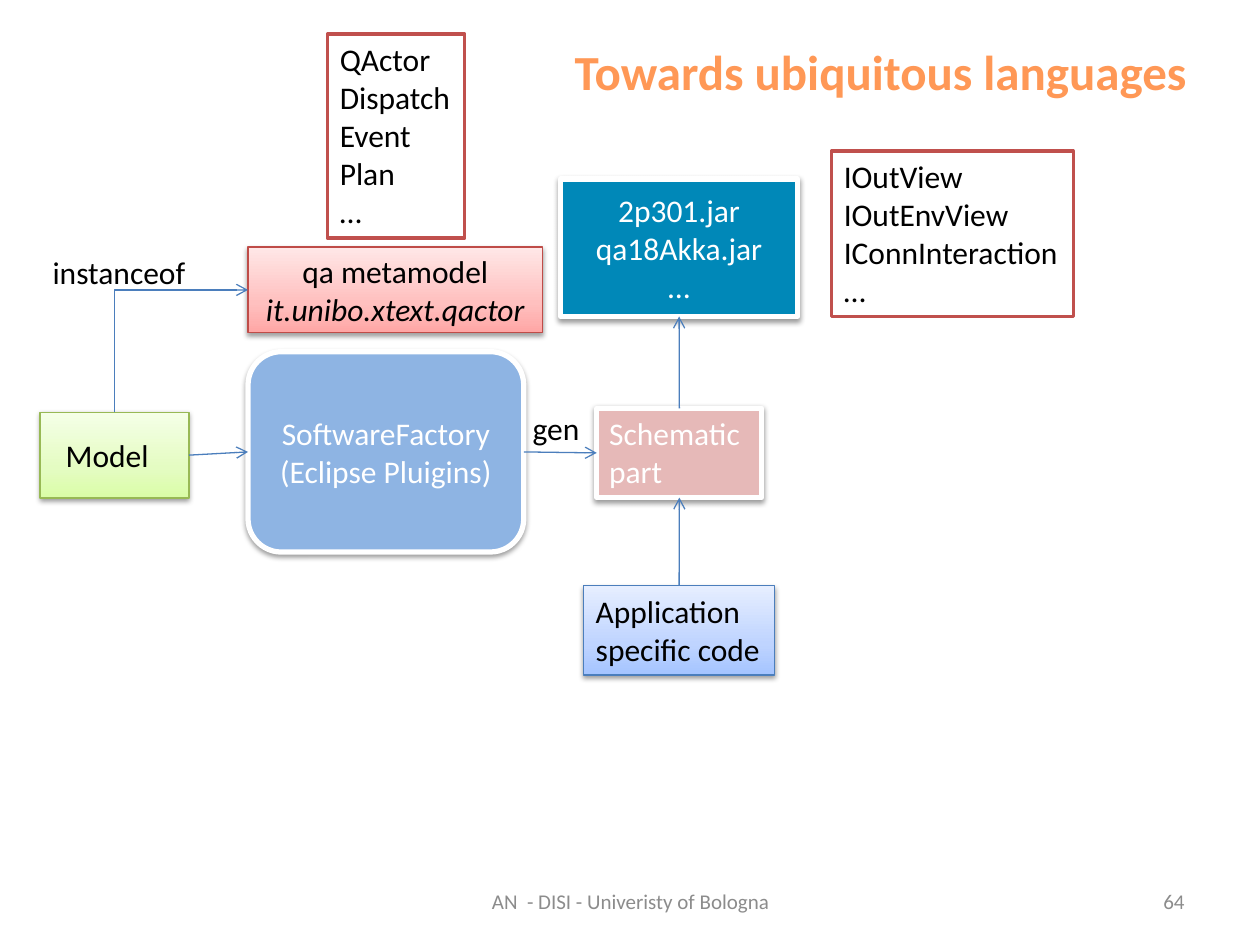
import copy

import lxml.etree
import pptx
import pptx.dml.color
import pptx.enum.shapes
import pptx.enum.text
import pptx.oxml.ns
import pptx.util

Cm = pptx.util.Cm
Pt = pptx.util.Pt
qn = pptx.oxml.ns.qn
ALIGN = pptx.enum.text.PP_ALIGN
ANCHOR = pptx.enum.text.MSO_ANCHOR
CONNECTOR = pptx.enum.shapes.MSO_CONNECTOR
SHAPE = pptx.enum.shapes.MSO_SHAPE
TOP, LEFT, BOTTOM, RIGHT = range(4)
ARROW_BLUE = "4B7EBC"


def rgb(value):
    return pptx.dml.color.RGBColor.from_string(value)


def write(frame, lines, color, align, size=18, bold=None, fit=False, anchor=ANCHOR.TOP):
    frame.word_wrap = not fit
    if fit:
        frame.auto_size = pptx.enum.text.MSO_AUTO_SIZE.SHAPE_TO_FIT_TEXT
    frame.vertical_anchor = anchor
    frame.text = "\n".join(lines)
    for paragraph in frame.paragraphs:
        paragraph.alignment = align
        font = paragraph.font
        font.name, font.size, font.bold = "Calibri", Pt(size), bold
        font.color.rgb = rgb(color)


def add_label(slide, area, text, color="000000", align=ALIGN.LEFT, **style):
    label = slide.shapes.add_textbox(*map(Cm, area))
    write(label.text_frame, [text], color, align, **style)


def fill_gradient(box, colors):
    box.fill.gradient()
    box.fill.gradient_angle = 90
    stop_list = box._element.spPr.find(qn("a:gradFill")).find(qn("a:gsLst"))
    stop_list.append(copy.deepcopy(stop_list[-1]))
    for stop, position, color in zip(box.fill.gradient_stops, (0, 0.35, 1), colors):
        stop.position = position
        stop.color.rgb = rgb(color)


def add_shadow(box):
    effects = box._element.spPr.find(qn("a:effectLst"))
    shadow = lxml.etree.SubElement(
        effects, qn("a:outerShdw"), blurRad=str(Pt(3.1)), dist=str(Pt(1.6)),
        dir="5400000", rotWithShape="0")
    black = lxml.etree.SubElement(shadow, qn("a:srgbClr"), val="000000")
    lxml.etree.SubElement(black, qn("a:alpha"), val="38000")


def add_box(slide, area, lines, fill, line, line_width, color="000000",
            centred=True, shadow=True, kind=SHAPE.RECTANGLE):
    box = slide.shapes.add_shape(kind, *map(Cm, area))
    box.shadow.inherit = False
    if isinstance(fill, str):
        box.fill.solid()
        box.fill.fore_color.rgb = rgb(fill)
    else:
        fill_gradient(box, fill)
    box.line.color.rgb = rgb(line)
    box.line.width = Pt(line_width)
    if shadow:
        add_shadow(box)
    write(box.text_frame, lines, color, ALIGN.CENTER if centred else ALIGN.LEFT,
          fit=not centred, anchor=ANCHOR.MIDDLE if centred else ANCHOR.TOP)
    return box


def add_arrow(slide, source, source_side, target, target_side, kind=CONNECTOR.STRAIGHT):
    arrow = slide.shapes.add_connector(kind, 0, 0, 0, 0)
    arrow.begin_connect(source, source_side)
    arrow.end_connect(target, target_side)
    arrow.line.color.rgb = rgb(ARROW_BLUE)
    arrow.line.width = Pt(0.75)
    lxml.etree.SubElement(arrow.line._get_or_add_ln(), qn("a:tailEnd"), type="arrow")
    lxml.etree.SubElement(arrow._element.spPr, qn("a:effectLst"))
    return arrow


def add_corner_arrow(slide, source, target):
    """Draw an arrow that rises from the source and turns right into the target."""
    arrow = add_arrow(slide, source, TOP, target, LEFT, CONNECTOR.ELBOW)
    across, rise = arrow.width, arrow.height
    arrow.left += (across - rise) // 2
    arrow.top += (rise - across) // 2
    arrow.width, arrow.height = rise, across
    properties = arrow._element.spPr
    properties.find(qn("a:prstGeom")).set("prst", "bentConnector2")
    transform = properties.find(qn("a:xfrm"))
    for name, value in (("rot", "5400000"), ("flipH", "1"), ("flipV", "1")):
        transform.set(name, value)


def main():
    deck = pptx.Presentation()
    deck.slide_width, deck.slide_height = Cm(25.4), Cm(19.05)
    slide = deck.slides.add_slide(deck.slide_layouts[6])

    footer = dict(color="8C8C8C", size=12, anchor=ANCHOR.MIDDLE)
    add_label(slide, (8.69, 17.65, 8.05, 1.02), "AN  - DISI - Univeristy of Bologna",
              align=ALIGN.CENTER, **footer)
    add_label(slide, (18.21, 17.65, 5.92, 1.02), "64", align=ALIGN.RIGHT, **footer)

    for area, terms in (
        ((16.76, 3.05, 4.88, 3.33), ["IOutView", "IOutEnvView", "IConnInteraction", "…"]),
        ((6.6, 0.69, 2.77, 4.11), ["QActor", "Dispatch", "Event", "Plan", "…"]),
    ):
        add_box(slide, area, terms, "FFFFFF", "C0504D", 2, centred=False, shadow=False)

    add_label(slide, (11.02, 0.71, 13.46, 1.45), "Towards ubiquitous languages",
              color="FF9856", align=ALIGN.CENTER, size=28, bold=True, fit=True)

    model = add_box(slide, (0.81, 8.31, 3, 1.73), ["Model"],
                    ("DAFDA7", "E4FCC2", "F5FFE7"), "98B955", 0.75)
    model.text_frame.margin_right = Cm(0.55)
    factory = add_box(slide, (5, 7.09, 5.56, 4.04), ["SoftwareFactory", "(Eclipse Pluigins)"],
                      "8EB4E3", "FFFFFF", 3, color="FFFFFF", kind=SHAPE.ROUNDED_RECTANGLE)
    metamodel = add_box(slide, (5, 4.98, 5.94, 1.73), ["qa metamodel", "it.unibo.xtext.qactor"],
                        ("FFA6A5", "FFC0BF", "FFE7E7"), "BF4C48", 0.75)
    metamodel.text_frame.paragraphs[1].font.italic = True
    schematic = add_box(slide, (12.03, 8.23, 3.33, 1.8), ["Schematic", "part"],
                        "E6B9B8", "FFFFFF", 3, color="FFFFFF", centred=False)
    application = add_box(slide, (11.76, 11.81, 3.86, 1.8), ["Application", "specific code"],
                          ("A4C4FF", "BFD4FF", "E6EEFF"), ARROW_BLUE, 0.75, centred=False)
    libraries = add_box(slide, (11.3, 3.61, 4.78, 2.77), ["2p301.jar", "qa18Akka.jar", "…"],
                        "0088B8", "FFFFFF", 3, color="FFFFFF")

    add_arrow(slide, model, RIGHT, factory, LEFT)
    add_corner_arrow(slide, model, metamodel)
    add_arrow(slide, factory, RIGHT, schematic, LEFT)
    add_arrow(slide, schematic, TOP, libraries, BOTTOM)
    add_arrow(slide, application, TOP, schematic, BOTTOM)
    add_label(slide, (0.81, 4.98, 3.23, 1.02), "instanceof", fit=True)
    add_label(slide, (10.49, 8.13, 1.47, 1.02), "gen", fit=True)

    deck.save("out.pptx")


if __name__ == "__main__":
    main()
